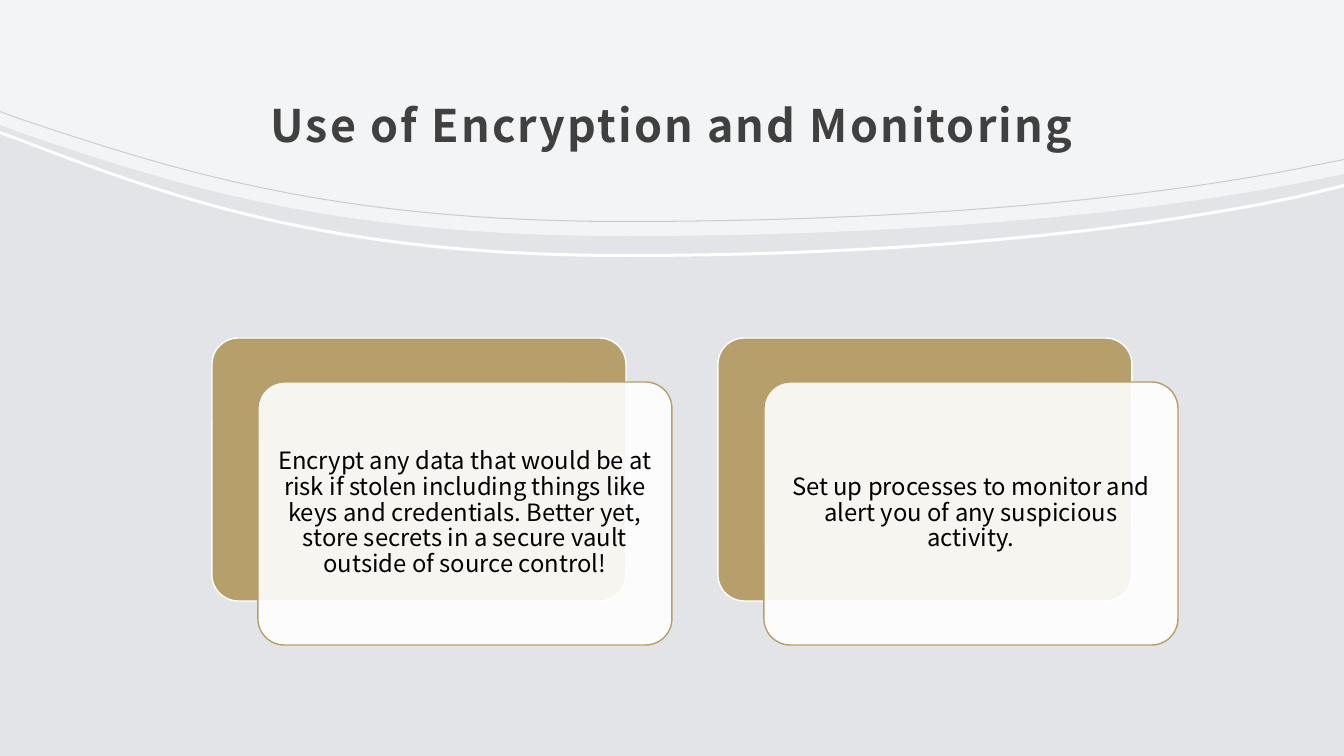
"""Build the slide on encryption and monitoring: a curved header over two cards."""
from lxml import etree
from pptx import Presentation, util as u
from pptx.dml.color import RGBColor
from pptx.enum import shapes, text
from pptx.oxml import ns

PX = u.Inches(1) / 100.8
WIDTH, HEIGHT = 1344, 756
FONT = "Noto Sans CJK JP"
WHITE = RGBColor(0xFF, 0xFF, 0xFF)
BLACK = RGBColor(0x00, 0x00, 0x00)
MIST = RGBColor(0xE2, 0xE4, 0xE8)
SILVER = RGBColor(0xC8, 0xCC, 0xD4)
CHARCOAL = RGBColor(0x40, 0x40, 0x40)
GOLD = RGBColor(0xB6, 0x9F, 0x6A)


def paint(shape, color, opacity=100):
    shape.shadow.inherit = False
    shape.fill.solid()
    shape.fill.fore_color.rgb = color
    if opacity < 100:
        tint = shape.fill._xPr.find(".//" + ns.qn("a:srgbClr"))
        etree.SubElement(tint, ns.qn("a:alpha"), val=str(opacity * 1000))


def write(shape, wording, inset, line_spacing, font_format):
    frame = shape.text_frame
    frame.word_wrap = True
    frame.vertical_anchor = text.MSO_ANCHOR.MIDDLE
    for side in ("left", "top", "right", "bottom"):
        setattr(frame, f"margin_{side}", round(inset * PX))
    paragraph = frame.paragraphs[0]
    paragraph.alignment = text.PP_ALIGN.CENTER
    paragraph.line_spacing = line_spacing
    run = paragraph.add_run()
    run.text = wording
    run.font.color.rgb = font_format["color"]
    for name in ("name", "size", "bold"):
        setattr(run.font, name, font_format[name])
    return paragraph


deck = Presentation()
deck.slide_width, deck.slide_height = round(WIDTH * PX), round(HEIGHT * PX)
slide = deck.slides.add_slide(deck.slide_layouts[6])
slide.background.fill.solid()
slide.background.fill.fore_color.rgb = MIST

# Each edge is a line, two cubic curves and a line; a thickness of 0 fills up to the slide top.
EDGE_X = (0, 19, 180, 336, 625, 882, 1118, 1299, WIDTH)
CURVE_STARTS = (1, 4, 10, 13)
header_bands = [
    ((125, 132, 187, 236, 236, 236, 218, 183, 174), 0, WHITE, 60),
    ((131, 138, 200, 254, 254, 254, 233, 195, 184), 3, WHITE, 100),
    ((111, 118, 172, 221, 221, 221, 203, 168, 159), 1, SILVER, 100),
]
for edge_y, thickness, color, opacity in header_bands:
    edge = list(zip(EDGE_X, edge_y))
    if thickness:
        far_side = [(x, y + thickness) for x, y in reversed(edge)]
    else:
        far_side = [(WIDTH, 0), (0, 0)]
    builder = slide.shapes.build_freeform(*edge[0], scale=PX)
    builder.add_line_segments(edge[1:] + far_side, close=True)
    band = builder.convert_to_shape()
    segments = list(band._element.iter(ns.qn("a:lnTo")))
    for start in CURVE_STARTS:
        controls = segments[start:start + 3]
        if len(controls) == 3:
            curve = etree.Element(ns.qn("a:cubicBezTo"))
            controls[0].addprevious(curve)
            for control in controls:
                curve.append(control[0])
                control.getparent().remove(control)
    paint(band, color, opacity)
    band.line.fill.background()

title = slide.shapes.add_textbox(*(round(v * PX) for v in (134, 59, 1076, 115)))
title_format = {"name": FONT, "size": u.Pt(32), "bold": True, "color": CHARCOAL}
heading = write(title, "Use of Encryption and Monitoring", 12, 1.3, title_format)
heading.runs[0].font._element.set("spc", "150")

CARD_LEFT, CARD_TOP, CARD_WIDTH, CARD_HEIGHT = 212, 338, 414, 263
CARD_PITCH, FRONT_DX, FRONT_DY = 506, 46, 44
card_format = {"name": FONT, "size": u.Pt(17), "bold": False, "color": BLACK}
practices = [
    "Encrypt any data that would be at risk if stolen including things like keys "
    "and credentials. Better yet, store secrets in a secure vault outside of source control!",
    "Set up processes to monitor and alert you of any suspicious activity.",
]
card_layers = [(0, 0, GOLD, 100, WHITE), (FRONT_DX, FRONT_DY, WHITE, 90, GOLD)]
for column, practice in enumerate(practices):
    for dx, dy, color, opacity, border in card_layers:
        box = (CARD_LEFT + column * CARD_PITCH + dx, CARD_TOP + dy, CARD_WIDTH, CARD_HEIGHT)
        card = slide.shapes.add_shape(
            shapes.MSO_SHAPE.ROUNDED_RECTANGLE, *(round(v * PX) for v in box))
        card.adjustments[0] = 0.1
        paint(card, color, opacity)
        card.line.color.rgb = border
        card.line.width = u.Pt(1)
    write(card, practice, 7, 0.9, card_format).space_after = u.Pt(6)

deck.save("out.pptx")
